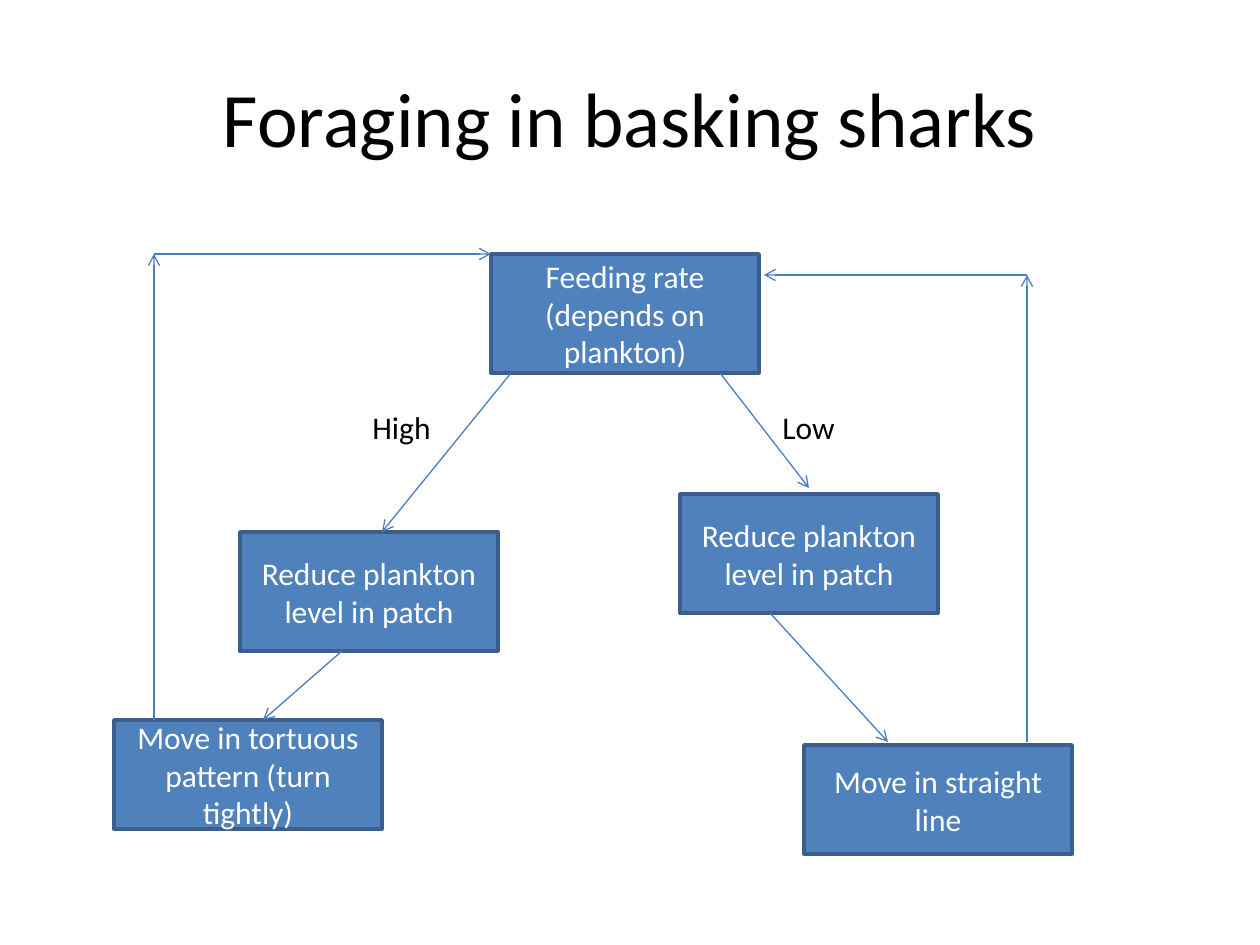
"""Build a flow chart slide about how basking sharks forage."""
from dataclasses import dataclass

from lxml.etree import SubElement
from pptx import Presentation
from pptx.dml.color import RGBColor
from pptx.enum.shapes import MSO_CONNECTOR as Connector, MSO_SHAPE as Shape
from pptx.enum.text import MSO_ANCHOR as Anchor, MSO_AUTO_SIZE as AutoSize, PP_ALIGN as Align
from pptx.oxml.ns import qn
from pptx.slide import Slide
from pptx.text.text import TextFrame
from pptx.util import Emu, Pt


@dataclass(frozen=True)
class Theme:
    font: str = "Calibri"
    fill: RGBColor = RGBColor(0x4F, 0x81, 0xBD)
    border: RGBColor = RGBColor(0x3A, 0x5F, 0x8C)
    arrow: RGBColor = RGBColor(0x4B, 0x7E, 0xBC)
    dark: RGBColor = RGBColor(0, 0, 0)
    light: RGBColor = RGBColor(255, 255, 255)
    title_size: Pt = Pt(44)
    body_size: Pt = Pt(18)
    border_width: Pt = Pt(2)
    arrow_width: Pt = Pt(0.75)


@dataclass(frozen=True)
class Block:
    text: str
    left: int
    top: int
    width: int
    height: int


@dataclass(frozen=True)
class Arrow:
    start: tuple[int, int]
    end: tuple[int, int]


THEME = Theme()
PX_PER_INCH = 126
EMU_PER_INCH = 914400

REDUCE = "Reduce plankton level in patch"
TITLE = Block("Foraging in basking sharks", 63, 38, 1134, 157)
STEPS = [
    Block("Feeding rate\n(depends on plankton)", 491, 254, 268, 119),
    Block(REDUCE, 240, 532, 258, 119),
    Block("Move in tortuous pattern (turn tightly)", 114, 720, 268, 109),
    Block(REDUCE, 680, 494, 258, 119),
    Block("Move in straight line", 804, 745, 268, 109),
]
LABELS = [Block("High", 360, 402, 84, 51), Block("Low", 770, 402, 78, 51)]
ARROWS = [
    Arrow((511, 373), (382, 532)),
    Arrow((342, 651), (263, 720)),
    Arrow((154, 720), (154, 254)),
    Arrow((154, 254), (491, 254)),
    Arrow((720, 373), (809, 488)),
    Arrow((770, 613), (888, 742)),
    Arrow((1027, 742), (1027, 275)),
    Arrow((1027, 275), (764, 275)),
]


def px(*lengths: int) -> list[Emu]:
    """Turn pixels into EMU."""
    return [Emu(round(length * EMU_PER_INCH / PX_PER_INCH)) for length in lengths]


def area(block: Block) -> list[Emu]:
    """Return the left, top, width and height of a block."""
    return px(block.left, block.top, block.width, block.height)


def write(frame: TextFrame, text: str, size: Pt, color: RGBColor, align: Align, **settings) -> None:
    """Fill a text frame, one paragraph for each line."""
    for name, value in settings.items():
        setattr(frame, name, value)
    frame.text = text
    for paragraph in frame.paragraphs:
        paragraph.alignment = align
        for run in paragraph.runs:
            for name, value in {"name": THEME.font, "size": size}.items():
                setattr(run.font, name, value)
            run.font.color.rgb = color


def add_title(slide: Slide, block: Block) -> None:
    """Place and format the title placeholder."""
    title = slide.shapes.title
    for name, value in zip(("left", "top", "width", "height"), area(block)):
        setattr(title, name, value)
    write(title.text_frame, block.text, THEME.title_size, THEME.dark, Align.CENTER,
          vertical_anchor=Anchor.MIDDLE)


def add_step(slide: Slide, block: Block) -> None:
    """Draw one filled step of the flow chart."""
    shape = slide.shapes.add_shape(Shape.RECTANGLE, *area(block))
    shape.shadow.inherit = False
    shape.fill.solid()
    shape.fill.fore_color.rgb = THEME.fill
    shape.line.color.rgb = THEME.border
    shape.line.width = THEME.border_width
    write(shape.text_frame, block.text, THEME.body_size, THEME.light, Align.CENTER,
          vertical_anchor=Anchor.MIDDLE, word_wrap=True)


def add_label(slide: Slide, block: Block) -> None:
    """Draw the label of a branch."""
    box = slide.shapes.add_textbox(*area(block))
    write(box.text_frame, block.text, THEME.body_size, THEME.dark, Align.LEFT,
          word_wrap=False, auto_size=AutoSize.SHAPE_TO_FIT_TEXT)


def add_arrow(slide: Slide, arrow: Arrow) -> None:
    """Draw a straight line with an open arrowhead at its end."""
    connector = slide.shapes.add_connector(Connector.STRAIGHT, *px(*arrow.start, *arrow.end))
    connector.line.color.rgb = THEME.arrow
    connector.line.width = THEME.arrow_width
    SubElement(connector.line._get_or_add_ln(), qn("a:tailEnd"), type="arrow")
    SubElement(connector._element.spPr, qn("a:effectLst"))


def main() -> None:
    """Build and save the presentation."""
    presentation = Presentation()
    presentation.slide_width, presentation.slide_height = px(1260, 945)
    slide = presentation.slides.add_slide(presentation.slide_layouts[5])
    add_title(slide, TITLE)
    for draw, items in ((add_step, STEPS), (add_label, LABELS), (add_arrow, ARROWS)):
        for item in items:
            draw(slide, item)
    presentation.save("out.pptx")


if __name__ == "__main__":
    main()
